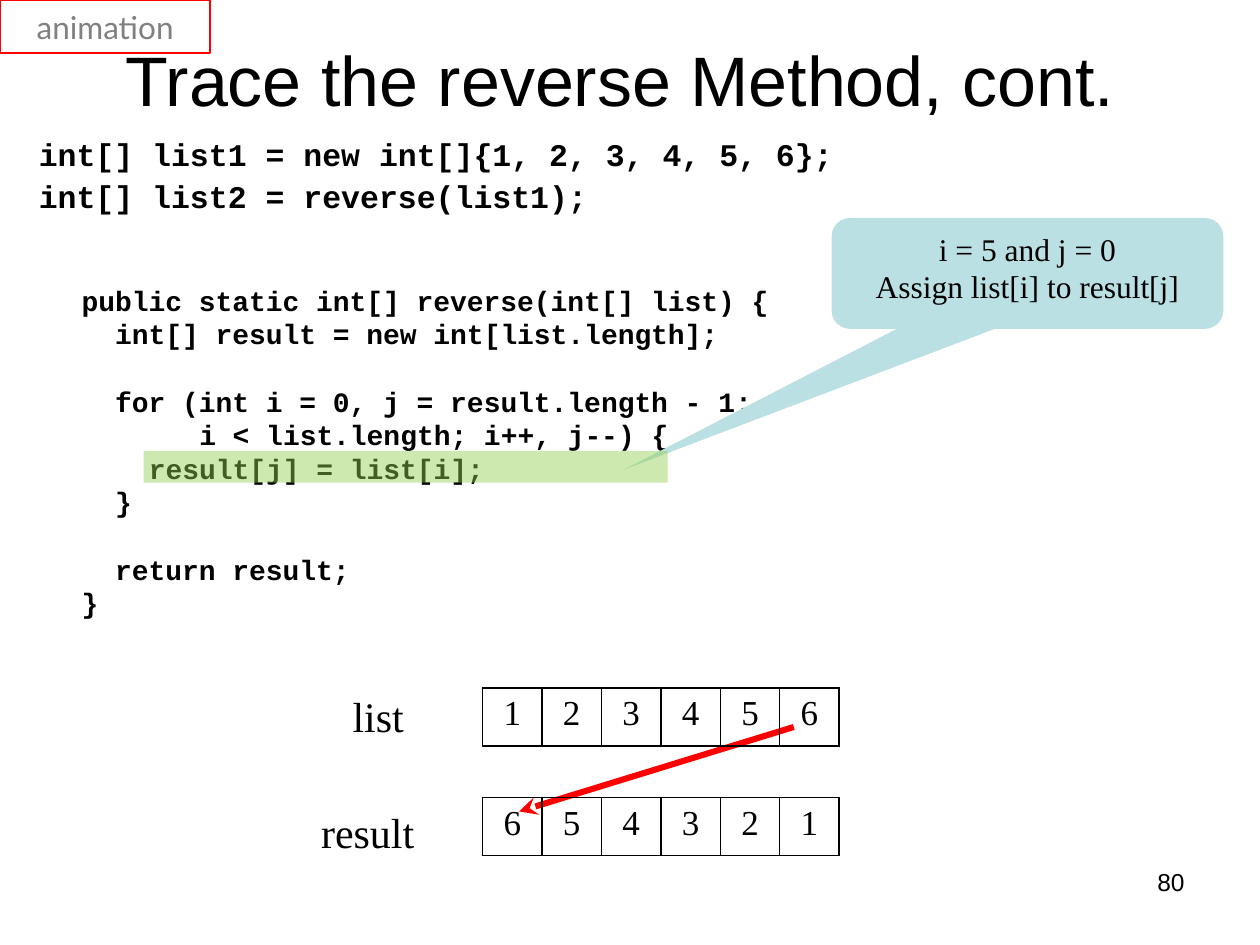
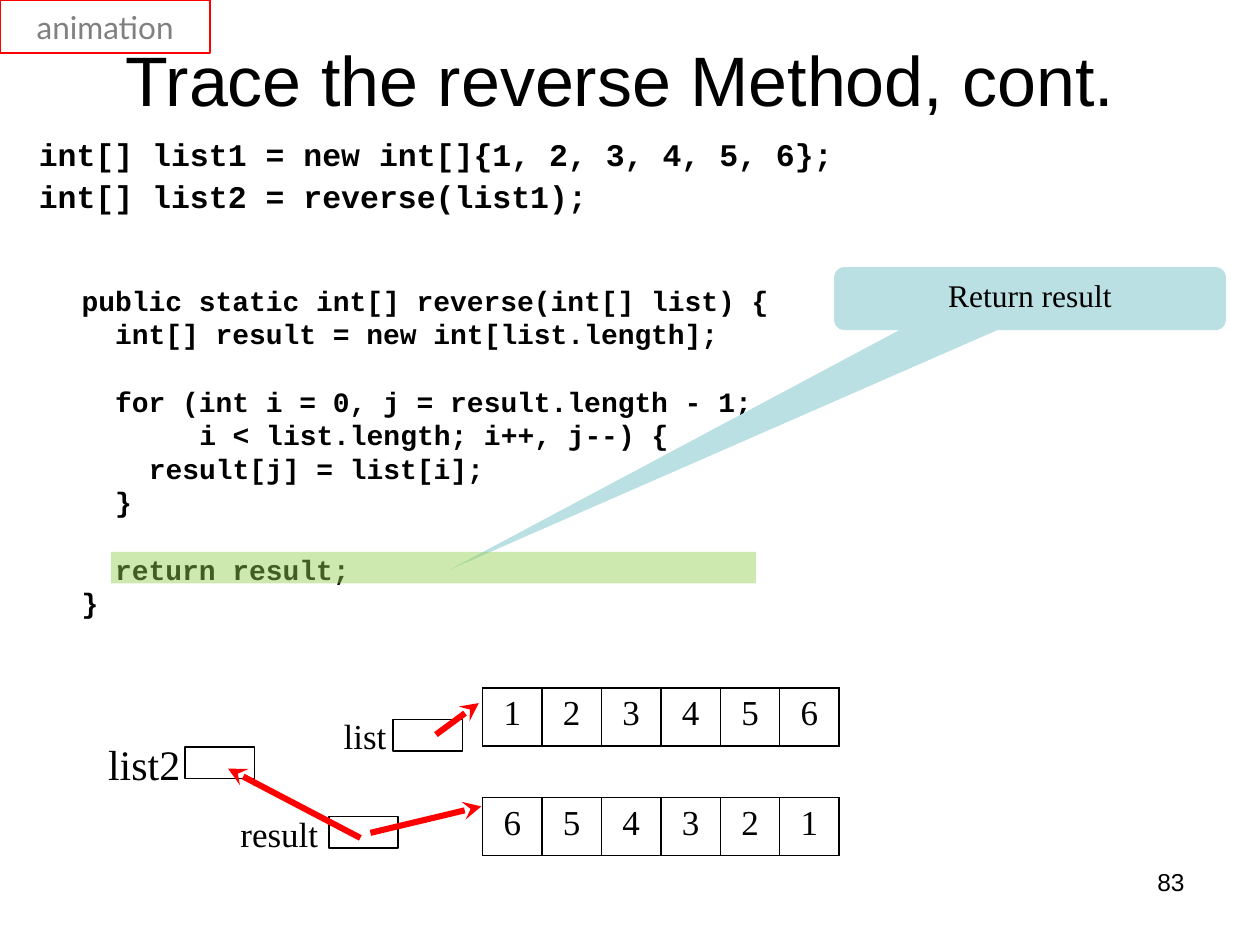
import pptx
import pptx.dml.color
import pptx.enum.shapes
import pptx.enum.text
import pptx.oxml
import pptx.oxml.ns
import pptx.util
from lxml import etree
from pptx.util import Inches

BLACK, RED, GRAY = "000000", "FF0000", "808080"
CALLOUT_BLUE, HIGHLIGHT_GREEN = "BBE0E3", "92D050"
SERIF, SANS, MONO, TAG_FONT = "Times New Roman", "Arial", "Courier New", "Lato"
CENTER = pptx.enum.text.PP_ALIGN.CENTER
LEFT = pptx.enum.text.PP_ALIGN.LEFT
RIGHT = pptx.enum.text.PP_ALIGN.RIGHT
SHAPES = pptx.enum.shapes.MSO_SHAPE
CODE_SIZE = 16
CODE_PITCH = 19.2
CODE_CHARACTER = 0.6 * CODE_SIZE / 72
CALL_LINES = ["int[] list1 = new int[]{1, 2, 3, 4, 5, 6};",
              "int[] list2 = reverse(list1);"]
METHOD_LINES = [
    (0, 0, "public static int[] reverse(int[] list) {"),
    (2, 0, "int[] result = new int[list.length];"),
    (2, 1, "for (int i = 0, j = result.length - 1;"),
    (7, 0, "i < list.length; i++, j--) {"),
    (4, 0, "result[j] = list[i];"),
    (2, 0, "}"),
    (2, 1, "return result;"),
    (0, 0, "}"),
]


def color(value):
    return pptx.dml.color.RGBColor.from_string(value)


def box(left, top, width, height):
    return Inches(left), Inches(top), Inches(width), Inches(height)


def write(text_frame, lines, font, size, alignment=LEFT, ink=BLACK, bold=False):
    text_frame.text = "\n".join(lines)
    for paragraph in text_frame.paragraphs:
        paragraph.alignment = alignment
        paragraph.font.name = font
        paragraph.font.size = pptx.util.Pt(size)
        paragraph.font.color.rgb = color(ink)
        paragraph.font.bold = bold


def add_text(slide, position, lines, font, size, **style):
    text_frame = slide.shapes.add_textbox(*box(*position)).text_frame
    text_frame.word_wrap = True
    write(text_frame, lines, font, size, **style)
    return text_frame


def add_label(slide, left, top, width, text, size):
    add_text(slide, (left, top, width, size / 60 + 0.1), [text], SERIF, size)


def add_figure(slide, kind, position, fill=None, line=None):
    shape = slide.shapes.add_shape(kind, *box(*position))
    shape.shadow.inherit = False
    if fill:
        shape.fill.solid()
        shape.fill.fore_color.rgb = color(fill)
    else:
        shape.fill.background()
    if line:
        shape.line.color.rgb = color(line)
        shape.line.width = pptx.util.Pt(1)
    else:
        shape.line.fill.background()
    return shape


def add_highlight(slide, *position):
    shape = add_figure(slide, SHAPES.RECTANGLE, position, HIGHLIGHT_GREEN)
    fill_color = shape.fill._xPr.find(".//" + pptx.oxml.ns.qn("a:srgbClr"))
    etree.SubElement(fill_color, pptx.oxml.ns.qn("a:alpha"), val="45000")


def add_variable(slide, left, top):
    add_figure(slide, SHAPES.RECTANGLE, (left, top, 0.55, 0.25), line=BLACK)


def add_callout(slide, position, pointer, lines):
    shape = add_figure(slide, SHAPES.ROUNDED_RECTANGULAR_CALLOUT, position, CALLOUT_BLUE)
    shape.adjustments[0], shape.adjustments[1] = pointer
    shape.text_frame.word_wrap = True
    shape.text_frame.vertical_anchor = pptx.enum.text.MSO_ANCHOR.TOP
    write(shape.text_frame, lines, SERIF, 18, CENTER)


def add_arrow(slide, start, end):
    connector = slide.shapes.add_connector(
        pptx.enum.shapes.MSO_CONNECTOR.STRAIGHT, *box(*start, *end))
    connector.line.color.rgb = color(RED)
    connector.line.width = pptx.util.Pt(3.5)
    line = connector.line._get_or_add_ln()
    etree.SubElement(line, pptx.oxml.ns.qn("a:tailEnd"), type="stealth")
    etree.SubElement(connector._element.spPr, pptx.oxml.ns.qn("a:effectLst"))


def set_borders(cell):
    properties = cell._tc.get_or_add_tcPr()
    for index, side in enumerate(("lnL", "lnR", "lnT", "lnB")):
        properties.insert(index, pptx.oxml.parse_xml(
            f'<a:{side} {pptx.oxml.ns.nsdecls("a")} w="12700"><a:solidFill>'
            f'<a:srgbClr val="{BLACK}"/></a:solidFill></a:{side}>'))


def add_array(slide, top, values):
    frame = slide.shapes.add_table(1, len(values), *box(3.83, top, 2.83, 0.46))
    table = frame.table
    table.first_row = False
    table.horz_banding = False
    for column, value in enumerate(values):
        cell = table.cell(0, column)
        cell.fill.background()
        write(cell.text_frame, [str(value)], SERIF, 20, CENTER)
        set_borders(cell)


def add_title(slide):
    title = slide.shapes.title
    title.left, title.top, title.width, title.height = box(0.67, 0.33, 8.5, 0.58)
    title.text_frame.auto_size = pptx.enum.text.MSO_AUTO_SIZE.NONE
    title.text_frame.vertical_anchor = pptx.enum.text.MSO_ANCHOR.MIDDLE
    write(title.text_frame, ["Trace the reverse Method, cont."], SANS, 40, CENTER)


def add_method(slide):
    text_frame = add_text(slide, (0.55, 2.2, 5.76, 2.79),
                          [text for _, _, text in METHOD_LINES], MONO, CODE_SIZE, bold=True)
    for paragraph, (indent, gap, _) in zip(text_frame.paragraphs, METHOD_LINES):
        paragraph.line_spacing = pptx.util.Pt(CODE_PITCH)
        paragraph.space_before = pptx.util.Pt(gap * CODE_PITCH)
        paragraph._p.get_or_add_pPr().set("marL", str(Inches(indent * CODE_CHARACTER)))


def add_call(slide):
    text_frame = add_text(slide, (0.21, 1.06, 7.33, 0.75), CALL_LINES, MONO, 18, bold=True)
    for paragraph in text_frame.paragraphs:
        paragraph.line_spacing = 0.9
        paragraph.space_before = pptx.util.Pt(4.2)


def add_animation_tag(slide):
    tag = add_figure(slide, SHAPES.RECTANGLE, (0, 0, 1.67, 0.42), line=RED)
    tag.text_frame.word_wrap = False
    tag.text_frame.vertical_anchor = pptx.enum.text.MSO_ANCHOR.MIDDLE
    write(tag.text_frame, ["animation"], TAG_FONT, 18, CENTER, GRAY)


def add_trace_slide(presentation, number):
    slide = presentation.slides.add_slide(presentation.slide_layouts[5])
    add_title(slide)
    add_method(slide)
    add_call(slide)
    add_animation_tag(slide)
    add_text(slide, (7.17, 6.83, 2.33, 0.52), [str(number)], SANS, 14, alignment=RIGHT)
    return slide


def add_arrays(slide):
    values = list(range(1, 7))
    add_array(slide, 5.46, values)
    add_array(slide, 6.33, values[::-1])


def add_assign_step(presentation):
    slide = add_trace_slide(presentation, 80)
    add_label(slide, 2.7, 5.43, 0.83, "list", 24)
    add_label(slide, 2.45, 6.35, 1.17, "result", 24)
    add_callout(slide, (6.6, 1.73, 3.11, 0.88), (-1.03, 1.77),
                ["i = 5 and j = 0", "Assign list[i] to result[j]"])
    add_highlight(slide, 1.14, 3.58, 4.16, 0.25)
    add_arrow(slide, (6.3, 5.77), (4.12, 6.44))
    add_arrays(slide)


def add_return_step(presentation):
    slide = add_trace_slide(presentation, 83)
    add_label(slide, 2.63, 5.62, 0.83, "list", 20)
    add_label(slide, 1.81, 6.4, 0.84, "result", 20)
    add_callout(slide, (6.62, 2.12, 3.11, 0.5), (-1.48, 4.3), ["Return result"])
    add_highlight(slide, 0.88, 4.38, 5.12, 0.25)
    add_label(slide, 0.76, 5.81, 1.17, "list2", 24)
    for left, top in ((1.47, 5.93), (2.61, 6.48), (3.12, 5.71)):
        add_variable(slide, left, top)
    add_arrow(slide, (2.94, 6.61), (3.82, 6.4))
    add_arrow(slide, (3.46, 5.83), (3.8, 5.58))
    add_arrow(slide, (2.86, 6.65), (1.81, 6.1))
    add_arrays(slide)


def main():
    presentation = pptx.Presentation()
    presentation.slide_width = Inches(10)
    presentation.slide_height = Inches(7.5)
    add_assign_step(presentation)
    add_return_step(presentation)
    presentation.save("out.pptx")


if __name__ == "__main__":
    main()
